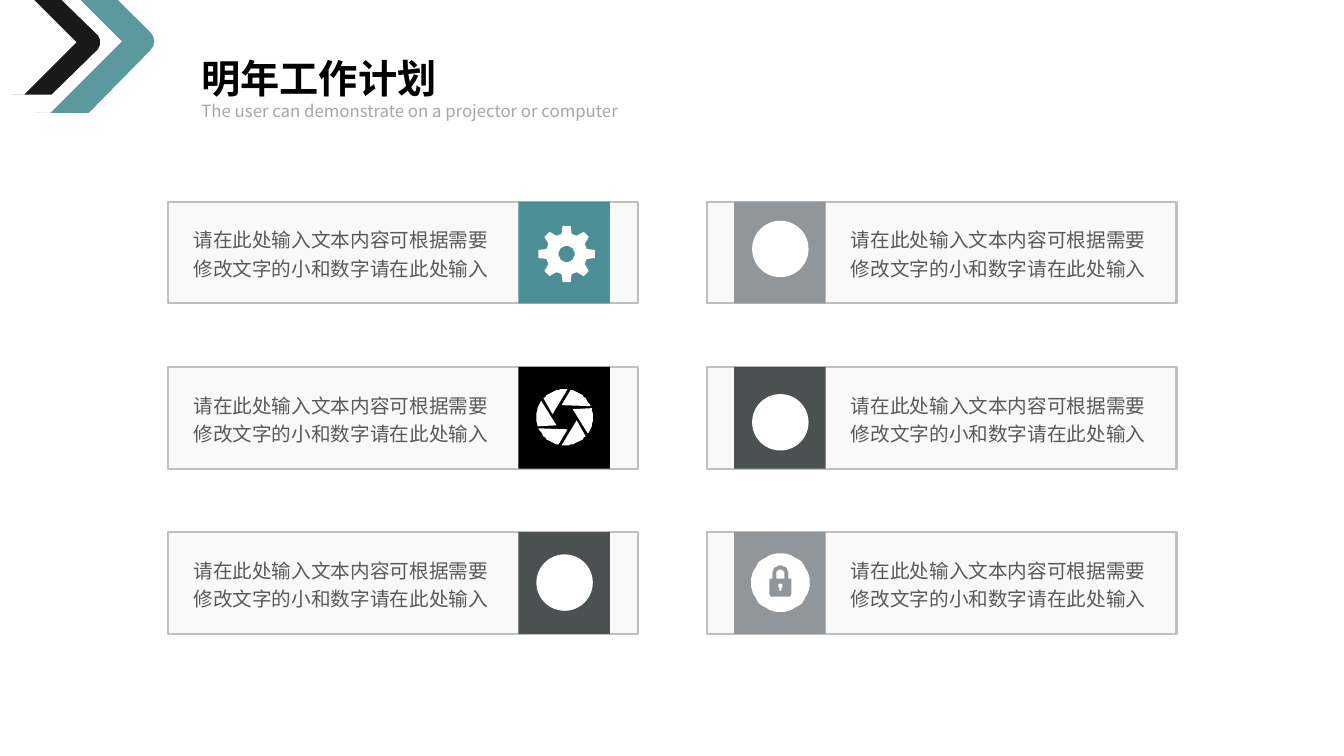
from math import cos, radians, sin

from lxml.etree import SubElement
from pptx import Presentation
from pptx.dml.color import RGBColor
from pptx.enum.shapes import MSO_SHAPE
from pptx.enum.text import MSO_AUTO_SIZE
from pptx.oxml.ns import qn
from pptx.util import Pt

PX = 9144
FONT = "Noto Sans CJK JP"
TEAL, BLACK, WHITE = "4B8E95", "000000", "FFFFFF"
SILVER, SLATE = "91969B", "4B5050"
BODY = "请在此处输入文本内容可根据需要修改文字的小和数字请在此处输入"
ROW_TOP, ROW_STEP = 200, 164
CARD_W, CARD_H, BADGE_W = 466, 101, 91
LEFT_X, RIGHT_X = (167, 514, 182), (701, 728, 834)


def rgb(color):
    """Turn a hex string into a colour."""
    return RGBColor.from_string(color)


def paint(s, fill, alpha=100, line=None):
    """Give a shape its fill, opacity and outline, without a shadow."""
    s.shadow.inherit = False
    s.fill.solid()
    s.fill.fore_color.rgb = rgb(fill)
    if alpha < 100:
        clr = s.fill._xPr.find(qn("a:solidFill"))[0]
        SubElement(clr, qn("a:alpha")).set("val", str(alpha * 1000))
    if line:
        s.line.color.rgb = rgb(line)
        s.line.width = Pt(1.5)
    else:
        s.line.fill.background()


def add_box(slide, x, y, w, h, fill, kind=MSO_SHAPE.RECTANGLE, **style):
    """Add a painted preset shape."""
    s = slide.shapes.add_shape(kind, x * PX, y * PX, w * PX, h * PX)
    paint(s, fill, **style)


def add_outline(slide, contours, fill, **style):
    """Add one freeform made of closed contours, inner ones being holes."""
    builder = slide.shapes.build_freeform(*contours[0][0], scale=PX)
    for i, points in enumerate(contours):
        if i:
            builder.move_to(*points[0])
        builder.add_line_segments(points[1:], close=True)
    paint(builder.convert_to_shape(), fill, **style)


def add_text(slide, text, x, y, w, h, size=14, color="595959", bold=False,
             wrap=True, spacing=None):
    """Add a text box holding one formatted paragraph."""
    tf = slide.shapes.add_textbox(x * PX, y * PX, w * PX, h * PX).text_frame
    tf.word_wrap = wrap
    tf.auto_size = MSO_AUTO_SIZE.SHAPE_TO_FIT_TEXT
    p = tf.paragraphs[0]
    p.line_spacing = spacing
    r = p.add_run()
    r.text = text
    r.font.size, r.font.bold, r.font.name = Pt(size), bold, FONT
    r.font.color.rgb = rgb(color)
    SubElement(r.font._element, qn("a:ea")).set("typeface", FONT)


def polar(cx, cy, radius, angle):
    """Return the point at an angle in degrees, clockwise from the right."""
    return cx + radius * cos(radians(angle)), cy + radius * sin(radians(angle))


def arc(cx, cy, radius, start=0, sweep=360, steps=48):
    """Return points along an arc."""
    return [polar(cx, cy, radius, start + sweep * i / steps)
            for i in range(steps + 1)]


def draw_gear(slide, cx, cy):
    """Draw a gear with eight teeth and a round hole."""
    tooth = ((21, -15), (28, -8), (28, 8), (21, 15))
    rim = [polar(cx, cy, radius, 45 * i + turn)
           for i in range(8) for radius, turn in tooth]
    add_outline(slide, [rim, arc(cx, cy, 8)], WHITE)


def draw_aperture(slide, cx, cy):
    """Draw the six blades of a camera shutter."""
    blades = [arc(cx, cy, 28, a, -54, 12) + [polar(cx, cy, 12, a - 81)]
              for a in range(-84, 276, 60)]
    add_outline(slide, blades, WHITE)


def draw_disc(slide, cx, cy):
    """Draw a plain round mark."""
    add_box(slide, cx - 28, cy - 28, 56, 56, WHITE, kind=MSO_SHAPE.OVAL)


def draw_lock(slide, cx, cy):
    """Draw a disc with a padlock cut out of it."""
    top, neck = cy - 4, cy - 9
    lock = (arc(cx, neck, 8, 180, 180, 16)
            + [(cx + 8, top), (cx + 11, top)]
            + arc(cx + 8, cy + 11, 3, 0, 90, 6)
            + arc(cx - 8, cy + 11, 3, 90, 90, 6)
            + [(cx - 11, top), (cx - 8, top)])
    shackle = arc(cx, neck, 4, 180, 180, 16) + [(cx + 4, top), (cx - 4, top)]
    keyhole = arc(cx, cy + 3, 2, 120, 300, 16) + [(cx + 1, cy + 8), (cx - 1, cy + 8)]
    add_outline(slide, [arc(cx, cy, 29), lock, shackle, keyhole], WHITE)


def draw_card(slide, columns, row, color, draw_icon, cx, cy):
    """Draw a framed card with its badge, icon and text."""
    card_x, badge_x, text_x = columns
    y = ROW_TOP + row * ROW_STEP
    add_box(slide, card_x, y, CARD_W, CARD_H, "F2F2F2", alpha=40, line="BFBFBF")
    add_box(slide, badge_x, y, BADGE_W, CARD_H, color)
    draw_icon(slide, cx, cy)
    add_text(slide, BODY, text_x, y + 17, 318, 65, spacing=1.2)


def draw_header(slide):
    """Draw the title, subtitle and corner chevrons."""
    add_text(slide, "明年工作计划", 190, 49, 256, 57, size=28, color=BLACK,
             bold=True, wrap=False)
    add_text(slide, "The user can demonstrate on a projector or computer",
             190, 95, 554, 30, size=12, color="A6A6A6")
    teal = [(34, 112), (88, 112), (149, 50), (152, 46), (153, 41), (152, 36),
            (149, 32), (117, 0), (80, 0), (121, 41), (50, 112)]
    black = [(12, 94), (51, 94), (97, 49), (99, 45), (99, 39), (97, 35),
             (61, 0), (34, 0), (76, 42), (24, 94)]
    add_outline(slide, [teal], TEAL, alpha=90)
    add_outline(slide, [black], BLACK, alpha=90)


def main():
    """Build and save the slide."""
    prs = Presentation()
    prs.slide_width, prs.slide_height = 1333 * PX, 750 * PX
    slide = prs.slides.add_slide(prs.slide_layouts[6])
    cards = [
        (LEFT_X, 0, TEAL, draw_gear, 562, 252),
        (LEFT_X, 1, BLACK, draw_aperture, 560, 414),
        (LEFT_X, 2, SLATE, draw_disc, 560, 578),
        (RIGHT_X, 0, SILVER, draw_disc, 774, 247),
        (RIGHT_X, 1, SLATE, draw_disc, 774, 419),
        (RIGHT_X, 2, SILVER, draw_lock, 774, 578),
    ]
    for card in cards:
        draw_card(slide, *card)
    draw_header(slide)
    prs.save("out.pptx")


if __name__ == "__main__":
    main()
